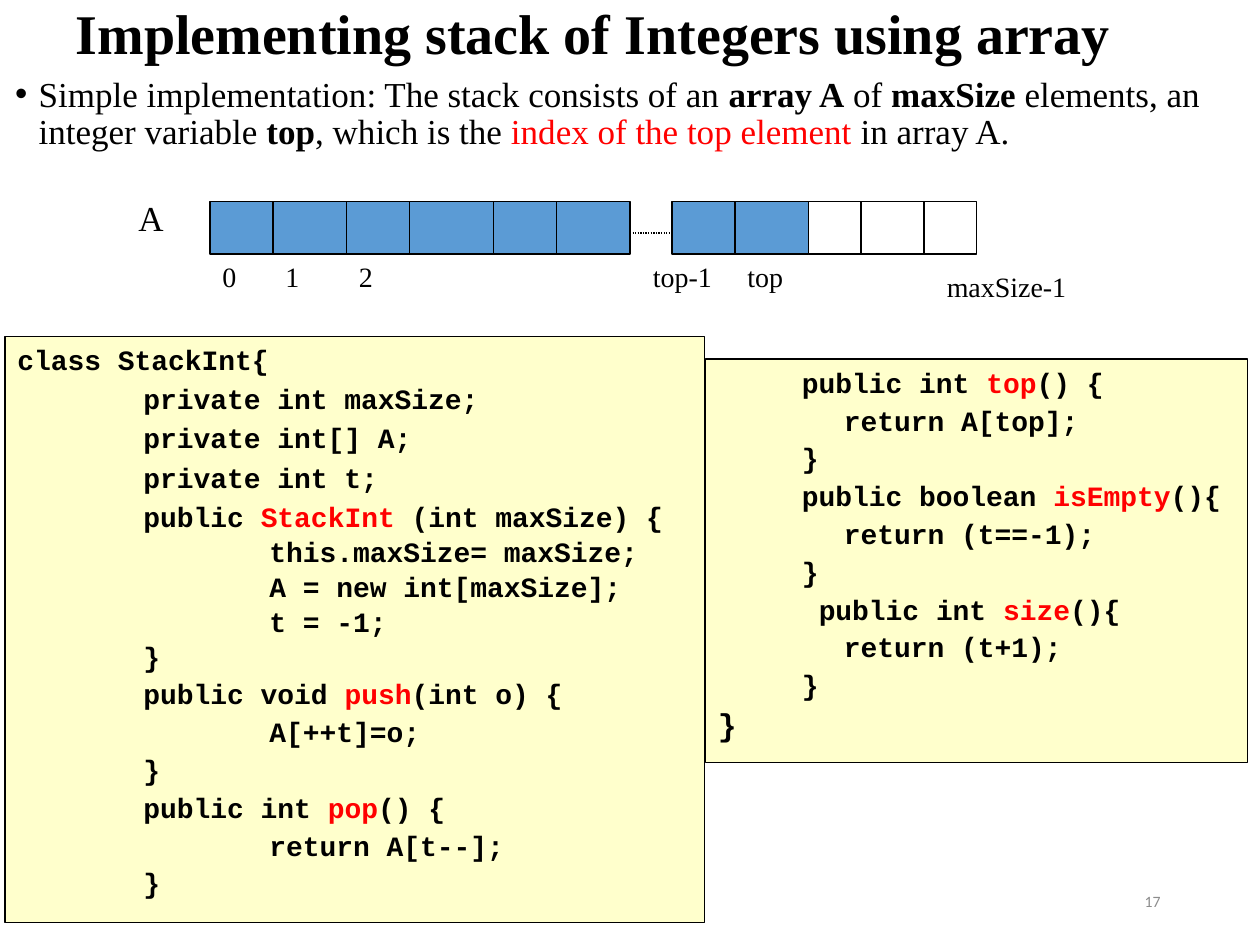
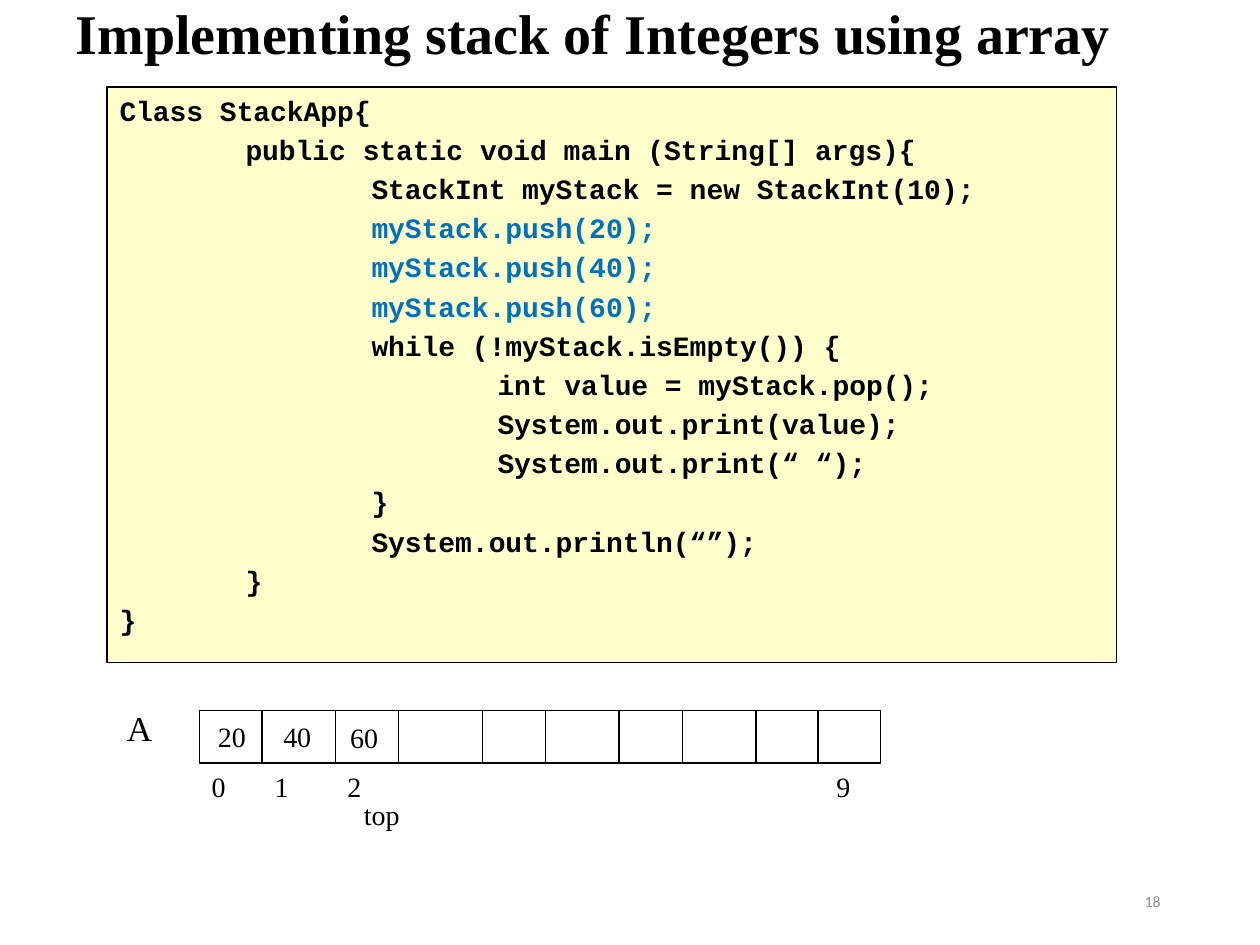
import dataclasses
import itertools
import pptx
import pptx.chart.data
import pptx.dml.color
import pptx.enum.dml
import pptx.enum.shapes
import pptx.enum.text
import pptx.oxml
import pptx.util

Pt = pptx.util.Pt
RGB = pptx.dml.color.RGBColor.from_string
Kind = pptx.enum.shapes.MSO_SHAPE
Align = pptx.enum.text.PP_ALIGN
Anchor = pptx.enum.text.MSO_ANCHOR


@dataclasses.dataclass(frozen=True)
class Theme:
    ink: str = "000000"
    red: str = "FF0000"
    blue: str = "0070C0"
    cell: str = "5B9BD5"
    paper: str = "FFFFCC"
    grey: str = "8C8C8C"
    serif: str = "Times New Roman"
    mono: str = "Courier New"
    sans: str = "Calibri"
    head: int = 32
    body: int = 20
    close: int = 18
    text: int = 16
    foot: int = 9
    line: float = 0.75


T = Theme()
TAB = 72
STEP = 48
CELL = 30

TITLE = "Implementing stack of Integers using array"

INTRO = [
    ("Simple implementation: The stack consists of an ", {}),
    ("array A", {"bold": True}),
    (" of ", {}),
    ("maxSize", {"bold": True}),
    (" elements, an integer variable ", {}),
    ("top", {"bold": True}),
    (", which is the ", {}),
    ("index of the top element ", {"color": T.red}),
    ("in array A.", {}),
]

RED = {"color": T.red}
BLUE = {"color": T.blue}

CLASS = [
    (0, 0.2, [("class StackInt{", {})]),
    (TAB, 0.2, [("private int maxSize;", {})]),
    (TAB, 0.2, [("private int[] A;", {})]),
    (TAB, 0.2, [("private int t;", {})]),
    (TAB, 0.2, [("public ", {}), ("StackInt ", RED), ("(int maxSize) {", {})]),
    (2 * TAB, 0.05, [("this.maxSize= maxSize;", {})]),
    (2 * TAB, 0.05, [("A = new int[maxSize];", {})]),
    (2 * TAB, 0.05, [("t = -1;", {})]),
    (TAB, 0.05, [("}", {})]),
    (TAB, 0.15, [("public void ", {}), ("push", RED), ("(int o) {", {})]),
    (2 * TAB, 0.15, [("A[++t]=o;", {})]),
    (TAB, 0.15, [("}", {})]),
    (TAB, 0.15, [("public int ", {}), ("pop", RED), ("() {", {})]),
    (2 * TAB, 0.15, [("return A[t--];", {})]),
    (TAB, 0.15, [("}", {})]),
]

REST = [
    (STEP, 0.15, [("public int ", {}), ("top", RED), ("() {", {})]),
    (TAB, 0.15, [("return A[top];", {})]),
    (STEP, 0.15, [("}", {})]),
    (STEP, 0.15, [("public boolean ", {}), ("isEmpty", RED), ("(){", {})]),
    (TAB, 0.15, [("return (t==-1);", {})]),
    (STEP, 0.15, [("}", {})]),
    (STEP + 9.6, 0.15, [("public int ", {}), ("size", RED), ("(){", {})]),
    (TAB, 0.15, [("return (t+1);", {})]),
    (STEP, 0.15, [("}", {})]),
    (0, 0.15, [("}", {"size": T.close})]),
]

APP = [(TAB * deep, 0.2, [(text, look)]) for deep, text, look in [
    (0, "Class StackApp{", {}),
    (1, "public static void main (String[] args){", {}),
    (2, "StackInt myStack = new StackInt(10);", {}),
    (2, "myStack.push(20);", BLUE),
    (2, "myStack.push(40);", BLUE),
    (2, "myStack.push(60);", BLUE),
    (2, "while (!myStack.isEmpty()) {", {}),
    (3, "int value = myStack.pop();", {}),
    (3, "System.out.print(value);", {}),
    (3, "System.out.print(“ “);", {}),
    (2, "}", {}),
    (2, "System.out.println(“”);", {}),
    (1, "}", {}),
    (0, "}", {}),
]]

LONG = [36, 42, 36, 48, 36, 42]
PAIR = [36, 42]

PAGES = [
    {
        "page": "17",
        "intro": INTRO,
        "dots": (360, 133.2, 390),
        "top": 115.2,
        "rows": [(120, LONG, T.cell), (384, PAIR, T.cell), (462, [30, 36, 30], None)],
        "name": (72, 108.7),
        "marks": [("maxSize-1", 534, 150.5, 102), ("top", 420, 145, 54),
                  ("0", 120, 145, 42), ("1", 156, 145, 42), ("2", 198, 145, 42),
                  ("top-1", 366, 145, 60)],
        "code": [(CLASS, (2.9, 192.2, 399.6, 334.8)), (REST, (403.2, 205.2, 309.6, 230.4))],
    },
    {
        "page": "18",
        "top": 406.1,
        "rows": [(113.8, LONG, None), (354, PAIR, None), (432, [35.5, 35.5], None)],
        "name": (65.5, 400.3),
        "marks": [("9", 470.9, 436.3, 32), ("top", 200.9, 452.2, 54),
                  ("0", 113.8, 436.3, 42), ("1", 149.8, 436.3, 42), ("2", 191.5, 436.3, 42),
                  ("20", 117.4, 407.5, 32), ("40", 154.8, 407.5, 32), ("60", 193, 408.2, 32)],
        "code": [(APP, (61.2, 49.7, 576.7, 329))],
    },
]


def write(para, runs, font, size, color=T.ink, bold=False):
    for text, look in runs:
        run = para.add_run()
        run.text = text
        run.font.name = font
        run.font.size = Pt(look.get("size", size))
        run.font.bold = look.get("bold", bold)
        run.font.color.rgb = RGB(look.get("color", color))


def place(shape, x, y, w, h):
    shape.left, shape.top, shape.width, shape.height = map(Pt, (x, y, w, h))


def frame(shape, anchor=Anchor.TOP):
    box = shape.text_frame
    box.word_wrap = True
    box.auto_size = pptx.enum.text.MSO_AUTO_SIZE.NONE
    box.vertical_anchor = anchor
    return box


def label(slide, text, x, y, w, h=26.6, size=T.text):
    box = frame(slide.shapes.add_textbox(Pt(x), Pt(y), Pt(w), Pt(h)))
    write(box.paragraphs[0], [(text, {})], T.serif, size)


def rect(slide, x, y, w, h, fill):
    shape = slide.shapes.add_shape(Kind.RECTANGLE, Pt(x), Pt(y), Pt(w), Pt(h))
    shape.shadow.inherit = False
    if fill:
        shape.fill.solid()
        shape.fill.fore_color.rgb = RGB(fill)
    else:
        shape.fill.background()
    shape.line.color.rgb = RGB(T.ink)
    shape.line.width = Pt(T.line)
    return shape


def rule(slide, x, y, right, low):
    line = slide.shapes.add_connector(
        pptx.enum.shapes.MSO_CONNECTOR.STRAIGHT, Pt(x), Pt(y), Pt(right), Pt(low))
    line.line.color.rgb = RGB(T.ink)
    line.line.width = Pt(T.line)
    line._element.spPr.append(pptx.oxml.parse_xml(
        '<a:effectLst xmlns:a="http://schemas.openxmlformats.org/drawingml/2006/main"/>'))
    return line


def row(slide, x, y, wide, fill):
    rect(slide, x, y, sum(wide), CELL, fill)
    for gap in itertools.accumulate(wide[:-1]):
        rule(slide, x + gap, y, x + gap, y + CELL)


def code(slide, lines, area):
    box = frame(rect(slide, *area, T.paper))
    for num, (indent, space, runs) in enumerate(lines):
        para = box.add_paragraph() if num else box.paragraphs[0]
        para.alignment = Align.LEFT
        para.space_before = Pt(space * T.text if num else 0)
        para._p.get_or_add_pPr().set("marL", str(Pt(indent)))
        write(para, runs, T.mono, T.text, bold=True)


def base(deck, page):
    slide = deck.slides.add_slide(deck.slide_layouts[1 if "intro" in page else 5])
    title = slide.shapes.title
    place(title, 36, 0, 648, 90)
    para = frame(title).paragraphs[0]
    para.alignment = Align.LEFT
    para.line_spacing = 0.9
    write(para, [(TITLE, {})], T.serif, T.head, bold=True)
    foot = slide.shapes.add_textbox(Pt(508.3), Pt(500.4), Pt(162), Pt(28.8))
    para = frame(foot, Anchor.MIDDLE).paragraphs[0]
    para.alignment = Align.RIGHT
    write(para, [(page["page"], {})], T.sans, T.foot, T.grey)
    return slide


def intro(slide, runs):
    body = slide.placeholders[1]
    place(body, 1.4, 40.3, 718.6, 67.7)
    para = frame(body).paragraphs[0]
    para.line_spacing = 0.9
    para.space_before = Pt(0)
    prop = para._p.get_or_add_pPr()
    prop.set("marL", str(Pt(13.5)))
    prop.set("indent", str(Pt(-13.5)))
    write(para, runs, T.serif, T.body)


def main():
    deck = pptx.Presentation()
    deck.slide_width, deck.slide_height = Pt(720), Pt(540)
    for page in PAGES:
        slide = base(deck, page)
        if "intro" in page:
            intro(slide, page["intro"])
        if "dots" in page:
            x, y, right = page["dots"]
            line = rule(slide, x, y, right, y)
            line.line.dash_style = pptx.enum.dml.MSO_LINE.ROUND_DOT
        for x, wide, fill in page["rows"]:
            row(slide, x, page["top"], wide, fill)
        label(slide, "A", *page["name"], 30, 31.7, T.body)
        for lines, area in page["code"]:
            code(slide, lines, area)
        for mark in page["marks"]:
            label(slide, *mark)
    deck.save("out.pptx")


if __name__ == "__main__":
    main()
